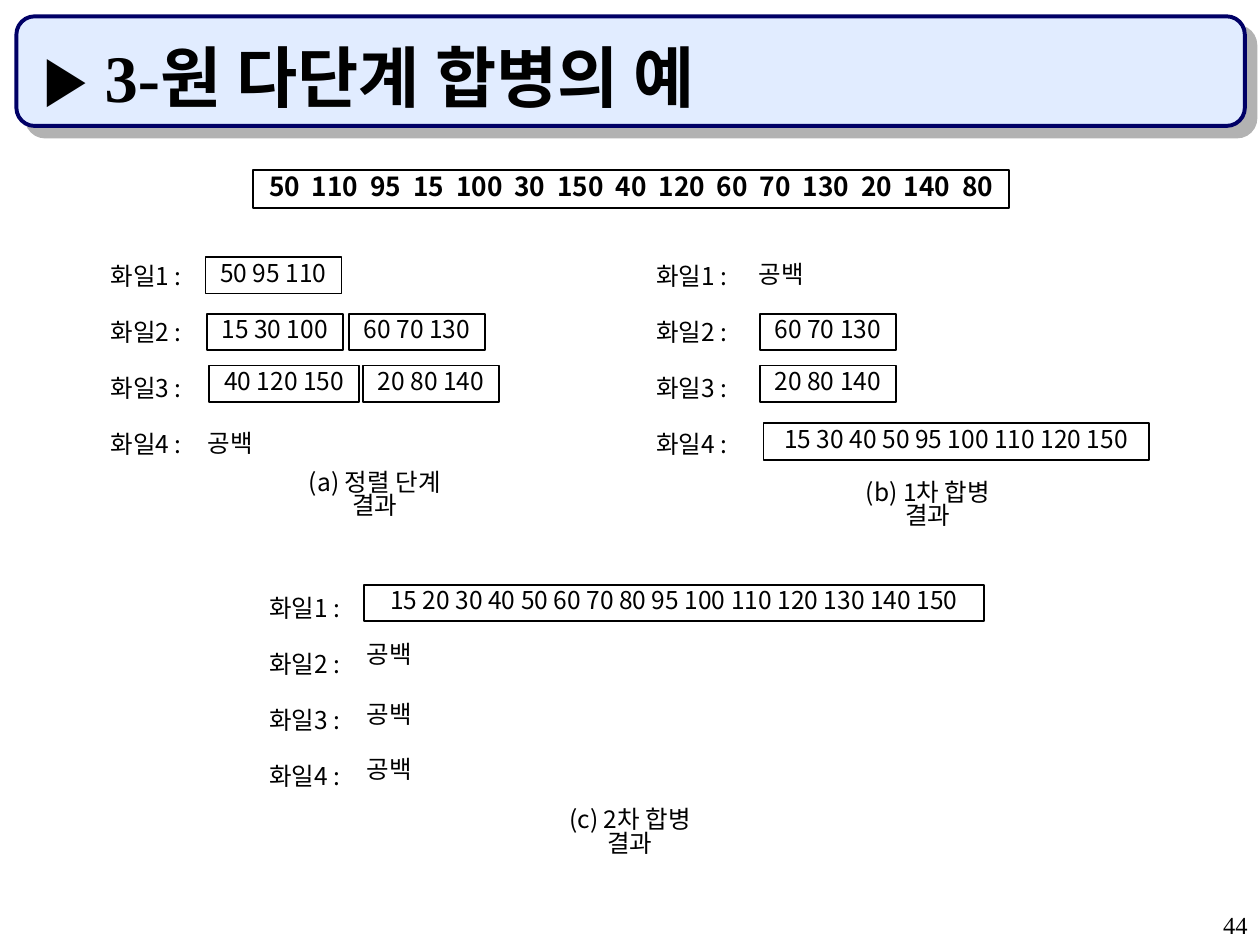
"""Build the slide on three-way polyphase merging."""
from lxml import etree
from pptx import Presentation
from pptx.dml.color import RGBColor
from pptx.enum.shapes import MSO_SHAPE as Shape
from pptx.enum.text import MSO_ANCHOR as Anchor, MSO_AUTO_SIZE as AutoSize, PP_ALIGN as Align
from pptx.oxml import parse_xml
from pptx.oxml.ns import nsdecls, qn
from pptx.util import Pt

BLACK = RGBColor(0x00, 0x00, 0x00)
NAVY = RGBColor(0x00, 0x00, 0x66)
PALE_BLUE = RGBColor(0xE1, 0xEC, 0xFF)
GRAY = RGBColor(0xB2, 0xB2, 0xB2)
SANS = "Noto Sans CJK KR"
SERIF = "Times New Roman"
RUN_HEIGHT = 20.88


class MergeSlide:
    """Hold the text style and the page being drawn."""

    def __init__(self, page):
        self.page = page
        self.size = 14
        self.tight = 0.8
        self.loose = 1.7
        self.gap = 3.5

    def set_text(self, box, text, size=None, font=SANS, bold=False, align=Align.CENTER,
                 spacing=None, wrap=False, inset=7.2, margin=3.6, anchor=Anchor.TOP):
        frame = box.text_frame
        frame.text = text
        frame.word_wrap = wrap
        frame.auto_size = AutoSize.NONE
        frame.vertical_anchor = anchor
        frame.margin_left = frame.margin_right = Pt(inset)
        frame.margin_top = frame.margin_bottom = Pt(margin)
        for index, para in enumerate(frame.paragraphs):
            para.alignment = align
            para.line_spacing = spacing
            if index:
                para.space_before = Pt(self.gap)
            for span in para.runs:
                span.font.size = Pt(size or self.size)
                span.font.name = font
                span.font.bold = bold
                span.font.color.rgb = BLACK
                latin = span._r.rPr.find(qn("a:latin"))
                latin.addnext(etree.Element(qn("a:ea"), typeface=SANS))

    def label(self, left, top, width, height, text, **style):
        box = self.page.shapes.add_textbox(Pt(left), Pt(top), Pt(width), Pt(height))
        self.set_text(box, text, **style)

    def run_box(self, left, top, width, text, height=RUN_HEIGHT, **style):
        box = self.page.shapes.add_shape(
            Shape.RECTANGLE, Pt(left), Pt(top), Pt(width), Pt(height))
        box.shadow.inherit = False
        box.fill.background()
        box.line.color.rgb = BLACK
        box.line.width = Pt(1)
        self.set_text(box, text, spacing=self.tight, **style)

    def empty_mark(self, left, top):
        self.label(left, top, 40.32, RUN_HEIGHT, "공백", spacing=self.tight)

    def file_names(self, left, top):
        names = "\n".join(f"화일{number} :" for number in range(1, 5))
        self.label(left, top, 59.04, 132.48, names, spacing=self.loose)

    def caption(self, left, top, width, text):
        self.label(left, top, width, RUN_HEIGHT, text,
                   spacing=self.tight, wrap=True, inset=16)

    def banner(self, left, top, width, height):
        box = self.page.shapes.add_shape(
            Shape.ROUNDED_RECTANGLE, Pt(left), Pt(top), Pt(width), Pt(height))
        box.fill.solid()
        box.fill.fore_color.rgb = PALE_BLUE
        box.line.color.rgb = NAVY
        box.line.width = Pt(2.25)
        box._element.spPr.append(parse_xml(
            f'<a:effectLst {nsdecls("a")}>'
            f'<a:outerShdw dist="{int(Pt(8.5))}" dir="2700000" algn="ctr" rotWithShape="0">'
            f'<a:srgbClr val="{GRAY}"/></a:outerShdw></a:effectLst>'))


def main():
    deck = Presentation()
    deck.slide_width, deck.slide_height = Pt(720), Pt(540)
    slide = MergeSlide(deck.slides.add_slide(deck.slide_layouts[6]))

    slide.banner(9.36, 9.36, 702, 62.64)
    slide.label(18, 18, 678.24, 48.24, "▶ 3-원 다단계 합병의 예", size=38, font=SERIF,
                bold=True, align=Align.LEFT, wrap=True, margin=0, anchor=Anchor.BOTTOM)
    slide.label(570.24, 516.24, 149.76, 23.76, "44", font=SERIF,
                align=Align.RIGHT, wrap=True)
    slide.run_box(144.72, 97.2, 432,
                  "50  110  95  15  100  30  150  40  120  60  70  130  20  140  80",
                  height=21.6, size=15, bold=True)

    for left, top in ((54, 133.92), (365.76, 133.92), (144.72, 323.28)):
        slide.file_names(left, top)

    for left, top, width, text in (
        (117.36, 146.88, 77.76, "50 95 110"),
        (118.08, 179.28, 77.76, "15 30 100"),
        (199.44, 179.28, 77.76, "60 70 130"),
        (119.52, 208.8, 85.68, "40 120 150"),
        (207.36, 208.8, 77.76, "20 80 140"),
        (434.16, 179.28, 77.76, "60 70 130"),
        (434.16, 208.8, 77.76, "20 80 140"),
        (436.32, 241.92, 220.32, "15 30 40 50 95 100 110 120 150"),
        (208.08, 334.08, 354.24, "15 20 30 40 50 60 70 80 95 100 110 120 130 140 150"),
    ):
        slide.run_box(left, top, width, text)

    for left, top in ((111.6, 244.08), (426.24, 147.6),
                      (202.32, 365.04), (202.32, 398.88), (202.32, 430.56)):
        slide.empty_mark(left, top)

    for left, top, width, text in (
        (152.64, 266.4, 123.12, "(a) 정렬 단계 결과"),
        (470.88, 272.16, 118.8, "(b) 1차 합병 결과"),
        (301.68, 459.36, 116.64, "(c) 2차 합병 결과"),
    ):
        slide.caption(left, top, width, text)

    deck.save("out.pptx")


if __name__ == "__main__":
    main()
